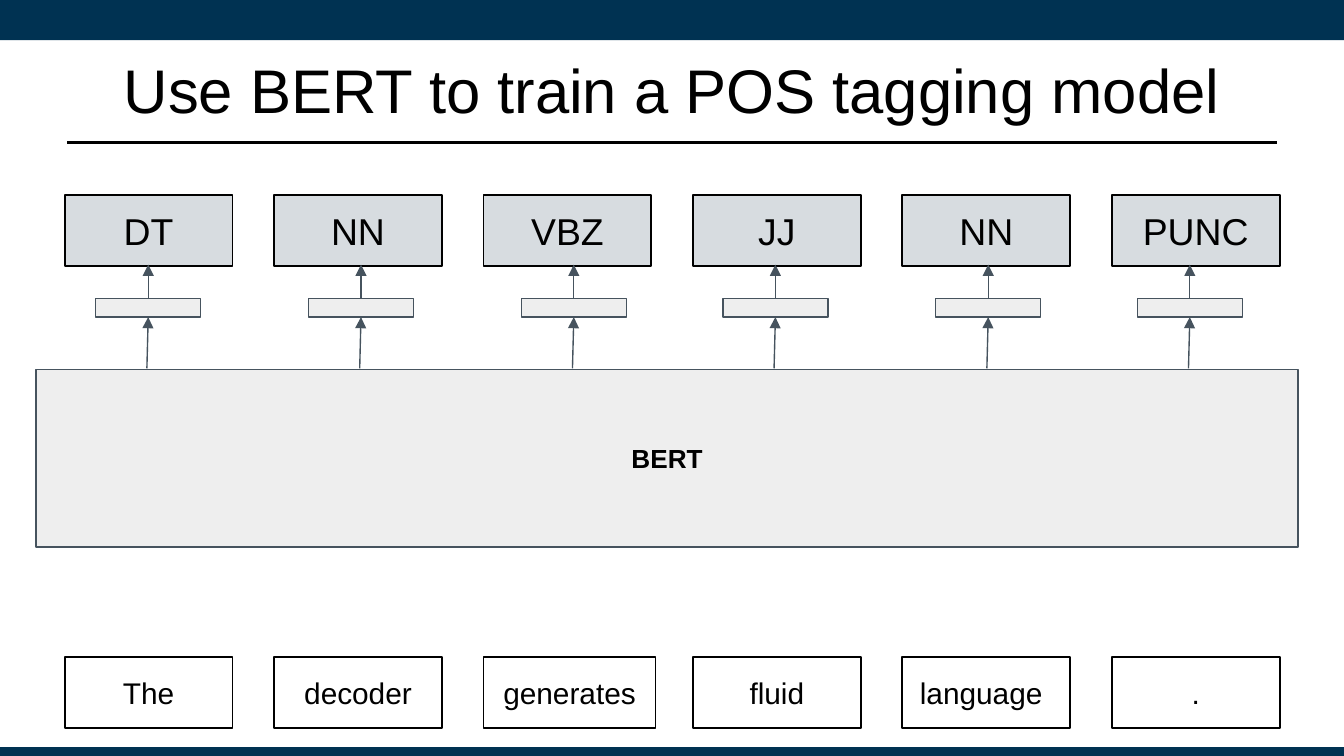
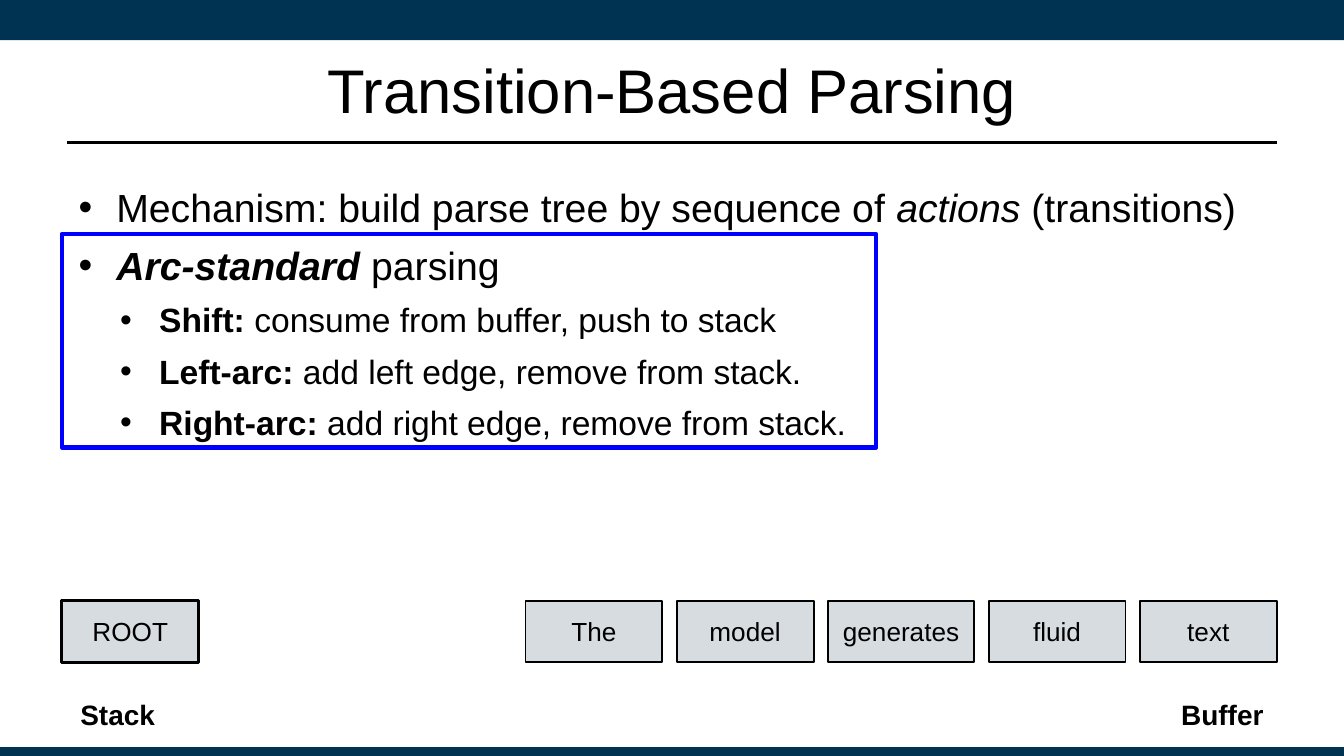
import lxml.etree
import pptx
import pptx.dml.color
import pptx.enum.shapes
import pptx.enum.text
import pptx.oxml.ns
import pptx.util

Pt = pptx.util.Pt
qn = pptx.oxml.ns.qn
ALIGN = pptx.enum.text.PP_ALIGN
ANCHOR = pptx.enum.text.MSO_ANCHOR
FONT = "Arial"
COLORS = {
    "band": "003252",
    "ink": "000000",
    "paper": "FFFFFF",
    "chip": "D7DCE0",
    "model": "EEEEEE",
    "edge": "46535E",
    "frame": "0000FF",
}


def rgb(name):
    return pptx.dml.color.RGBColor.from_string(COLORS[name])


def add_run(p, text, size, bold=False, italic=False):
    r = p.add_run()
    r.text = text
    r.font.name = FONT
    r.font.size = Pt(size)
    r.font.bold = bold
    r.font.italic = italic
    r.font.color.rgb = rgb("ink")


def set_frame(sp, inset, anchor):
    tf = sp.text_frame
    tf.word_wrap = True
    tf.vertical_anchor = anchor
    tf.margin_left = tf.margin_right = Pt(inset[0])
    tf.margin_top = tf.margin_bottom = Pt(inset[1])
    return tf


def add_text(s, box, text, size, align, inset=(7.2, 7.2), anchor=ANCHOR.TOP, bold=False):
    sp = s.shapes.add_textbox(*map(Pt, box))
    p = set_frame(sp, inset, anchor).paragraphs[0]
    p.alignment = align
    add_run(p, text, size, bold)


def add_rect(s, box, fill=None, line=None, width=1.0):
    sp = s.shapes.add_shape(pptx.enum.shapes.MSO_SHAPE.RECTANGLE, *map(Pt, box))
    sp.shadow.inherit = False
    if fill:
        sp.fill.solid()
        sp.fill.fore_color.rgb = rgb(fill)
    else:
        sp.fill.background()
    if line:
        sp.line.color.rgb = rgb(line)
        sp.line.width = Pt(width)
    else:
        sp.line.fill.background()
    return sp


def add_label_box(s, box, text, size, fill, line="ink", width=1.0,
                  inset=7.2, bold=False, align=ALIGN.CENTER):
    sp = add_rect(s, box, fill, line, width)
    p = set_frame(sp, (inset, inset), ANCHOR.MIDDLE).paragraphs[0]
    p.alignment = align
    add_run(p, text, size, bold)


def add_line(s, start, end, color, width, arrow=False):
    cn = s.shapes.add_connector(pptx.enum.shapes.MSO_CONNECTOR.STRAIGHT,
                                *map(Pt, start + end))
    cn.line.color.rgb = rgb(color)
    cn.line.width = Pt(width)
    if arrow:
        ln = cn.line._get_or_add_ln()
        lxml.etree.SubElement(ln, qn("a:tailEnd"), type="triangle")
    lxml.etree.SubElement(cn._element.spPr, qn("a:effectLst"))
    return cn


def add_base(prs, title):
    s = prs.slides.add_slide(prs.slide_layouts[6])
    add_rect(s, (0, 0, 720, 21.6), "band")
    add_rect(s, (0, 400.3, 720, 4.7), "band")
    add_line(s, (36, 76.3), (684, 76.3), "ink", 1.25)
    add_text(s, (36, 13.7, 648, 67.7), title, 33, ALIGN.CENTER, (5.4, 2.7), ANCHOR.MIDDLE)
    return s


def add_token_row(s, box, tokens, size, fill, wide=None, left_aligned=None):
    x, y, w, h = box
    cell = 90
    pitch = (w - cell) / (len(tokens) - 1)
    for i, token in enumerate(tokens):
        width = cell + 2.2 if token == wide else cell
        align = ALIGN.LEFT if token == left_aligned else ALIGN.CENTER
        add_label_box(s, (x + i * pitch, y, width, h), token, size, fill,
                      inset=9.4, align=align)


def add_model(s, box):
    x, y, w, h = box
    add_label_box(s, box, "BERT", 14, "model", "edge", 0.75, bold=True)
    bar_w, bar_h, bar_y = 56.2, 10.1, y - 38.2
    for offset in (0, 114, 228, 336, 450, 558):
        bar_x = x + 31.9 + offset
        mid = bar_x + bar_w / 2
        bar = add_rect(s, (bar_x, bar_y, bar_w, bar_h), "model", "edge", 0.75)
        into = add_line(s, (mid - 0.7, y - 0.7), (mid, bar_y + bar_h), "edge", 0.75, True)
        into.end_connect(bar, 2)
        out = add_line(s, (mid, bar_y), (mid, bar_y - 18), "edge", 0.75, True)
        out.begin_connect(bar, 0)


def add_bullets(s, box, items):
    sp = s.shapes.add_textbox(*map(Pt, box))
    tf = set_frame(sp, (5.4, 2.7), ANCHOR.TOP)
    tf.margin_top = Pt(4)
    for i, (level, runs) in enumerate(items):
        p = tf.paragraphs[0] if i == 0 else tf.add_paragraph()
        p.level = level
        if i:
            p.space_before = Pt(5.8)
        size, left, hang = ((21, 20.9, 20.2), (18, 43.9, 20.9))[level]
        pPr = p._p.get_or_add_pPr()
        pPr.set("marL", str(Pt(left)))
        pPr.set("indent", str(-Pt(hang)))
        clr = lxml.etree.SubElement(pPr, qn("a:buClr"))
        lxml.etree.SubElement(clr, qn("a:srgbClr"), val=COLORS["ink"])
        lxml.etree.SubElement(pPr, qn("a:buFont"), typeface=FONT)
        lxml.etree.SubElement(pPr, qn("a:buChar"), char="•")
        for text, style in runs:
            add_run(p, text, size, "b" in style, "i" in style)


def add_stack(s, box):
    x, y, w, h = box
    add_label_box(s, (x, y, 73.4, 33.1), "ROOT", 14, "chip", width=1.5)
    add_text(s, (x + 2.9, y + h - 28.8, w, 28.8), "Stack", 15, ALIGN.LEFT, bold=True)


def add_buffer(s, box, words):
    x, y, w, h = box
    widths = [78.5 if word == "generates" else 73.4 for word in words]
    gap = (w - sum(widths)) / (len(words) - 1)
    left = x
    for word, width in zip(words, widths):
        add_label_box(s, (left, y, width, 33.1), word, 14, "chip")
        left += width + gap
    add_text(s, (x + w - 89.3, y + h - 28.8, 89.3, 28.8), "Buffer", 15, ALIGN.RIGHT, bold=True)


def build_tagging(prs):
    s = add_base(prs, "Use BERT to train a POS tagging model")
    add_token_row(s, (34.6, 104.3, 651, 38.2),
                  ["DT", "NN", "VBZ", "JJ", "NN", "PUNC"], 20, "chip")
    add_token_row(s, (34.6, 352, 651, 38.2),
                  ["The", "decoder", "generates", "fluid", "language", "."], 16, "paper",
                  wide="generates", left_aligned="language")
    add_model(s, (19.4, 198, 676, 95))


def build_parsing(prs):
    s = add_base(prs, "Transition-Based Parsing")
    add_bullets(s, (36, 94.3, 648, 267), [
        (0, [("Mechanism: build parse tree by sequence of ", ""), ("actions", "i"),
             (" (transitions)", "")]),
        (0, [("Arc-standard", "bi"), (" parsing", "")]),
        (1, [("Shift:", "b"), (" consume from buffer, push to stack", "")]),
        (1, [("Left-arc:", "b"), (" add left edge, remove from stack.", "")]),
        (1, [("Right-arc:", "b"), (" add right edge, remove from stack.", "")]),
    ])
    add_stack(s, (33.1, 321.8, 89.3, 73.5))
    add_buffer(s, (281.5, 321.8, 402.5, 73.5),
               ["The", "model", "generates", "fluid", "text"])
    add_rect(s, (33.1, 125.3, 436.3, 114.5), line="frame", width=2.25)


def main():
    prs = pptx.Presentation()
    prs.slide_width = Pt(720)
    prs.slide_height = Pt(405)
    build_tagging(prs)
    build_parsing(prs)
    prs.save("out.pptx")


if __name__ == "__main__":
    main()
